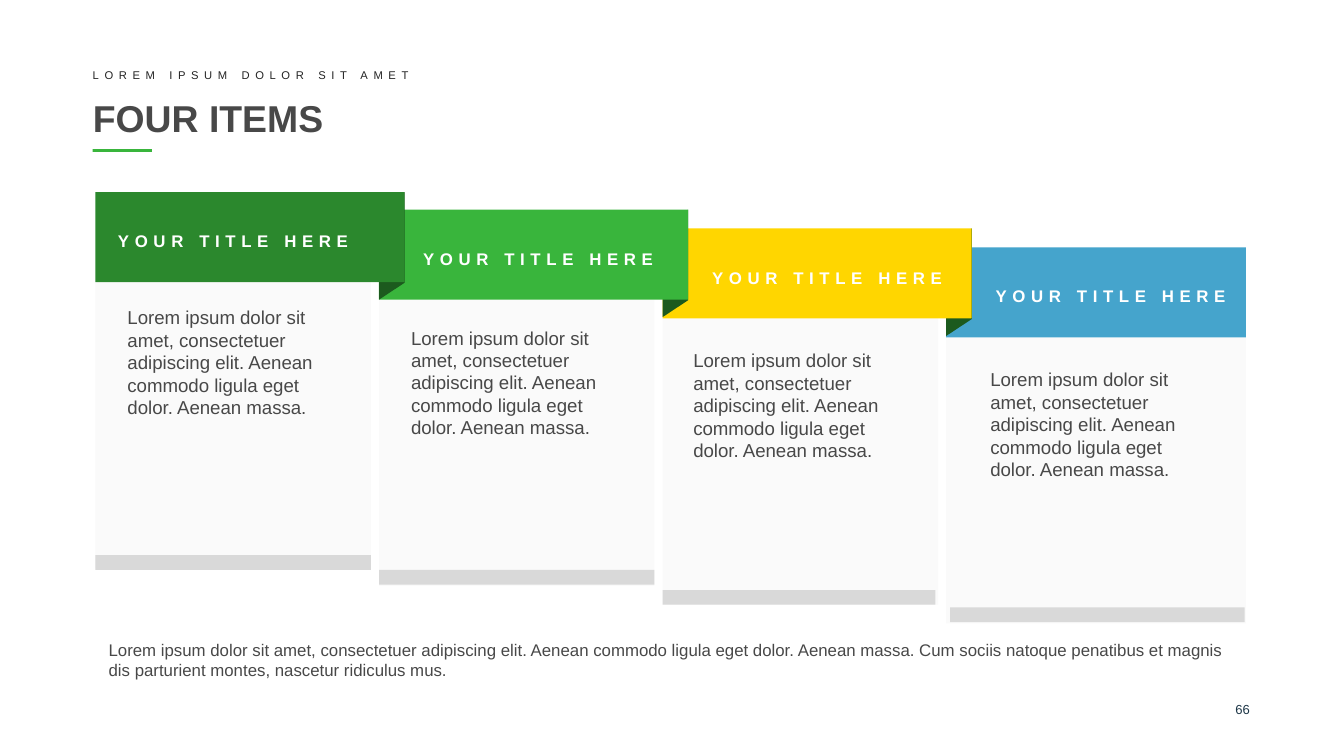
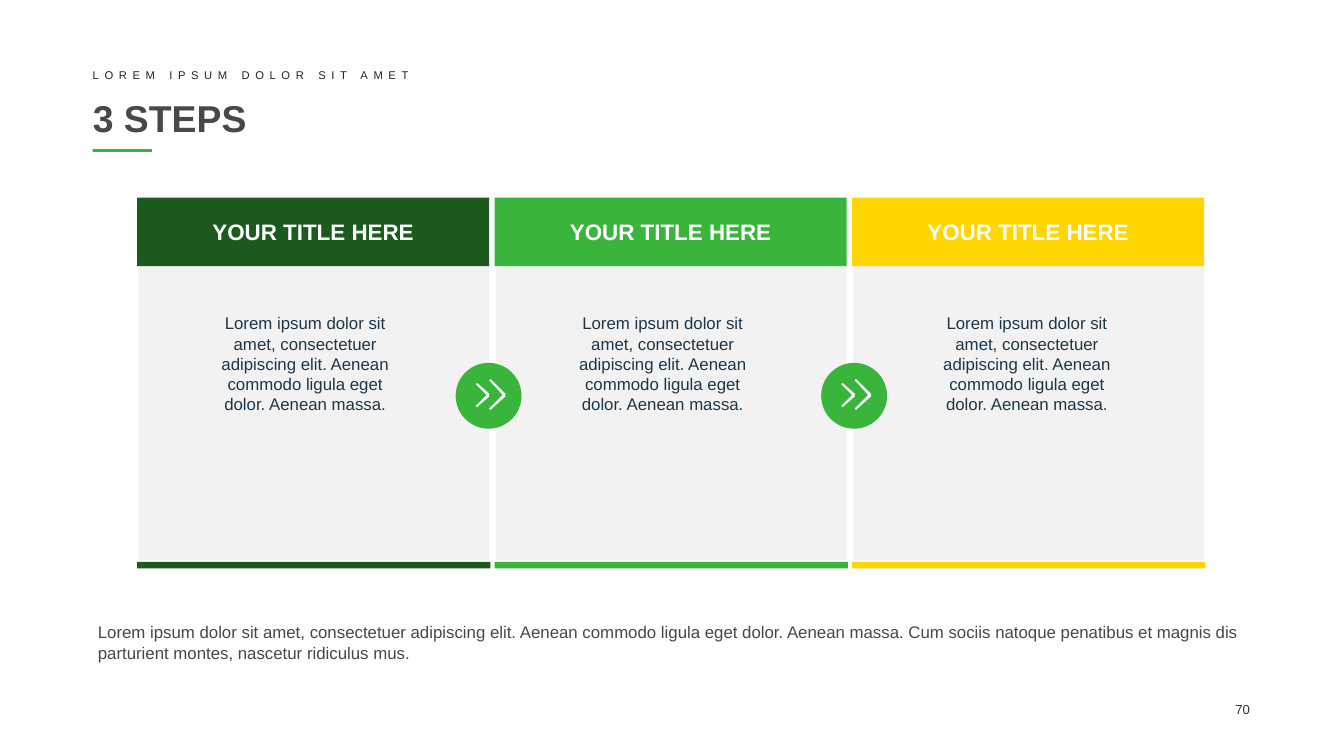
from lxml import etree
from pptx import Presentation
from pptx.dml.color import RGBColor
from pptx.enum.shapes import MSO_SHAPE
from pptx.enum.text import MSO_ANCHOR, PP_ALIGN
from pptx.oxml.ns import qn
from pptx.util import Inches, Pt

RECT, OVAL, FOLD = MSO_SHAPE.RECTANGLE, MSO_SHAPE.OVAL, MSO_SHAPE.PARALLELOGRAM
LEFT, CENTER, RIGHT = PP_ALIGN.LEFT, PP_ALIGN.CENTER, PP_ALIGN.RIGHT
TOP, MIDDLE = MSO_ANCHOR.TOP, MSO_ANCHOR.MIDDLE

FOREST = RGBColor(0x1C, 0x5A, 0x1E)
LEAF = RGBColor(0x2B, 0x88, 0x2D)
GREEN = RGBColor(0x39, 0xB5, 0x3C)
YELLOW = RGBColor(0xFF, 0xD6, 0x00)
BLUE = RGBColor(0x45, 0xA4, 0xCC)
WHITE = RGBColor(0xFF, 0xFF, 0xFF)
WARM_GREY = RGBColor(0xD0, 0xCE, 0xCE)
BAR_GREY = RGBColor(0xD9, 0xD9, 0xD9)
PANEL_GREY = RGBColor(0xF2, 0xF2, 0xF2)
TEXT = RGBColor(0x48, 0x48, 0x48)
KICKER_TEXT = RGBColor(0x24, 0x24, 0x24)
NAVY = RGBColor(0x1D, 0x36, 0x47)

SLIDE_W = Inches(10)
SLIDE_H = SLIDE_W * 9 // 16

FONT = "Arial"
KICKER = "LOREM IPSUM DOLOR SIT AMET"
HEADING = "YOUR TITLE HERE"
BLURB = ("Lorem ipsum dolor sit amet, consectetuer adipiscing elit. "
         "Aenean commodo ligula eget dolor. Aenean massa.")
SUMMARY = (BLURB + " Cum sociis natoque penatibus et magnis dis parturient "
           "montes, nascetur ridiculus mus.")

# colour, banner top, banner width, panel width, bar (left, top, width),
# heading left, blurb (left, top)
ITEMS = [
    (LEAF, 1.43, 2.30, 2.05, (0.71, 4.13, 2.05), 0.78, (0.85, 2.23)),
    (GREEN, 1.56, 2.30, 2.05, (2.82, 4.24, 2.05), 3.05, (2.96, 2.38)),
    (YELLOW, 1.70, 2.30, 2.05, (4.93, 4.39, 2.03), 5.20, (5.06, 2.55)),
    (BLUE, 1.84, 2.23, 2.23, (7.07, 4.52, 2.19), 7.31, (7.27, 2.69)),
]
ITEM_LEFT, ITEM_PITCH = 0.71, 2.11
BANNER_H, PANEL_H, BAR_H = 0.67, 2.13, 0.11
FOLD_LENGTH, FOLD_DEPTH = 0.80, 0.19

# colour, blurb left, blurb width
STEPS = [(FOREST, 1.51, 1.52), (GREEN, 4.17, 1.52), (YELLOW, 6.90, 1.48)]
STEP_LEFT, STEP_PITCH, STEP_W = 1.02, 2.66, 2.62
ARROW_LEFTS, ARROW_TOP, ARROW_SIZE = (3.39, 6.11), 2.70, 0.49
# Chevron outlines in hundredths of an inch from the circle's corner
CHEVRONS = [
    [(25, 13), (26, 12), (37, 23), (37, 25), (26, 35), (25, 34), (35, 24)],
    [(15, 16), (16, 15), (25, 23), (25, 25), (16, 33), (15, 32), (23, 24)],
]


def paint(shape, color, alpha=None):
    shape.shadow.inherit = False
    shape.fill.solid()
    shape.fill.fore_color.rgb = color
    shape.line.fill.background()
    if alpha is not None:
        tint = shape.fill._xPr.find(qn("a:solidFill"))[0]
        etree.SubElement(tint, qn("a:alpha")).set("val", str(alpha * 1000))


def add_block(slide, left, top, width, height, color, kind=RECT, alpha=None):
    block = slide.shapes.add_shape(
        kind, Inches(left), Inches(top), Inches(width), Inches(height))
    paint(block, color, alpha)
    return block


def write(shape, text, size, color, bold=False, align=LEFT, anchor=TOP, spacing=0):
    frame = shape.text_frame
    frame.text = text
    frame.word_wrap = True
    frame.vertical_anchor = anchor
    paragraph = frame.paragraphs[0]
    paragraph.alignment = align
    run = paragraph.runs[0]
    run.font.name, run.font.size, run.font.bold = FONT, Pt(size), bold
    run.font.color.rgb = color
    if spacing:
        run.font._element.set("spc", str(spacing * 100))


def add_text(slide, left, top, width, height, text, size, color, inset=True, **style):
    box = slide.shapes.add_textbox(
        Inches(left), Inches(top), Inches(width), Inches(height))
    if not inset:
        frame = box.text_frame
        frame.margin_left = frame.margin_right = 0
        frame.margin_top = frame.margin_bottom = 0
    write(box, text, size, color, **style)


def add_base(deck, title, number):
    """Add a slide with the shared kicker, title, underline and page number."""
    slide = deck.slides.add_slide(deck.slide_layouts[6])
    add_block(slide, 0.69, 1.11, 0.44, 0.02, GREEN)
    add_text(slide, 8.87, 5.22, 0.43, 0.16, number, 7, NAVY, inset=False, align=RIGHT)
    add_text(slide, 0.69, 0.69, 8.62, 0.37, title, 20, TEXT, inset=False,
             bold=True, anchor=MIDDLE)
    add_text(slide, 0.69, 0.51, 7.17, 0.10, KICKER, 6, KICKER_TEXT, inset=False,
             anchor=MIDDLE, spacing=3)
    return slide


def add_fold(slide, banner_right, banner_top):
    """Add the ribbon's fold, which shows below the banner's right end."""
    center_x = banner_right - FOLD_DEPTH / 2
    center_y = banner_top + FOLD_LENGTH / 2
    fold = add_block(slide, center_x - FOLD_LENGTH / 2, center_y - FOLD_DEPTH / 2,
                     FOLD_LENGTH, FOLD_DEPTH, FOREST, FOLD)
    fold.adjustments[0] = 0.66
    fold.rotation = 90
    fold._element.spPr.xfrm.set("flipV", "1")


def build_four_items(deck):
    slide = add_base(deck, "FOUR ITEMS", "66")
    last = len(ITEMS) - 1
    # Right to left, so that each banner overlaps the next one
    for i in range(last, -1, -1):
        color, top, banner_w, panel_w, *_ = ITEMS[i]
        left = ITEM_LEFT + i * ITEM_PITCH
        add_block(slide, left, top + BANNER_H, panel_w, PANEL_H, WARM_GREY, alpha=10)
        if i < last:
            add_fold(slide, left + banner_w, top)
        add_block(slide, left, top, banner_w, BANNER_H, color)
    for _, top, _, _, bar, heading_left, blurb in ITEMS:
        add_block(slide, *bar, BAR_H, BAR_GREY)
        add_text(slide, heading_left, top + 0.24, 2, 0.25, HEADING, 9, WHITE,
                 bold=True, spacing=3)
        add_text(slide, *blurb, 1.79, 0.94, BLURB, 10, TEXT)
    add_text(slide, 0.71, 4.71, 8.59, 0.40, SUMMARY, 9, TEXT)


def add_arrow(slide, left):
    add_block(slide, left, ARROW_TOP, ARROW_SIZE, ARROW_SIZE, GREEN, OVAL)
    outlines = [[(Inches(left + x / 100), Inches(ARROW_TOP + y / 100))
                 for x, y in chevron] for chevron in CHEVRONS]
    builder = slide.shapes.build_freeform(*outlines[0][0])
    builder.add_line_segments(outlines[0][1:])
    for outline in outlines[1:]:
        builder.move_to(*outline[0])
        builder.add_line_segments(outline[1:])
    paint(builder.convert_to_shape(), WHITE)


def build_three_steps(deck):
    slide = add_base(deck, "3 STEPS", "70")
    for i, (color, blurb_left, blurb_w) in enumerate(STEPS):
        left = STEP_LEFT + i * STEP_PITCH
        add_block(slide, left + 0.01, 1.96, STEP_W - 0.01, 2.21, PANEL_GREY)
        header = add_block(slide, left, 1.47, STEP_W, 0.51, color)
        write(header, HEADING, 12, WHITE, bold=True, align=CENTER, anchor=MIDDLE)
        add_block(slide, left, 4.18, STEP_W + 0.01, 0.05, color)
        add_text(slide, blurb_left, 2.28, blurb_w, 0.86, BLURB, 9, NAVY, align=CENTER)
    for left in ARROW_LEFTS:
        add_arrow(slide, left)
    add_text(slide, 0.63, 4.58, 8.74, 0.40, SUMMARY, 9, TEXT)


def main():
    deck = Presentation()
    deck.slide_width, deck.slide_height = SLIDE_W, SLIDE_H
    build_four_items(deck)
    build_three_steps(deck)
    deck.save("out.pptx")


if __name__ == "__main__":
    main()
